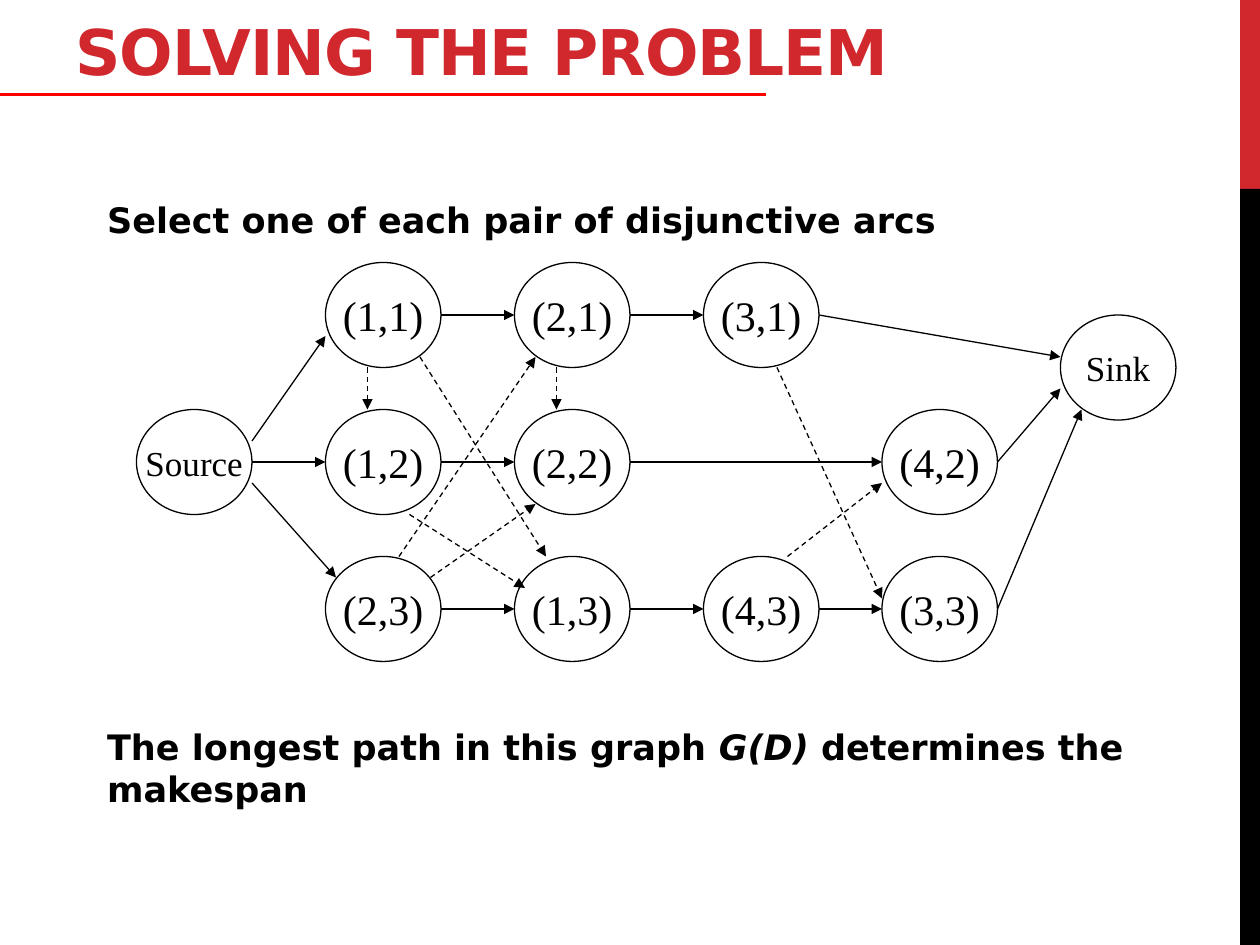
from dataclasses import dataclass

from lxml import etree
from pptx import Presentation
from pptx import util as u
from pptx.dml.color import RGBColor
from pptx.enum import dml, shapes, text
from pptx.oxml import ns


@dataclass
class Theme:
    red: str = "D1282E"
    rule_red: str = "FF0000"
    black: str = "000000"
    heading_font: str = "DejaVu Sans"
    node_font: str = "Times New Roman"
    title_size: int = 36
    body_size: int = 20
    node_size: int = 24
    end_size: int = 20


NODE_WIDTH, NODE_HEIGHT = 66, 60

# Job operations: label -> left, top
COLUMNS = (186, 294, 402, 504)
ROWS = (
    (150, ("(1,1)", "(2,1)", "(3,1)", None)),
    (234, ("(1,2)", "(2,2)", None, "(4,2)")),
    (318, ("(2,3)", "(1,3)", "(4,3)", "(3,3)")),
)
SOURCE = (78, 234)
SINK = (606, 180)

# Arcs that meet the ovals off their side midpoints: x1, y1, x2, y2
END_ARCS = (
    (144, 252, 186, 192), (144, 276, 192, 330), (468, 180, 606, 204),
    (570, 264, 606, 222), (570, 348, 618, 234),
)
DISJUNCTIVE_ARCS = (
    (210, 210, 210, 234), (318, 210, 318, 234), (234, 294, 300, 336),
    (246, 330, 306, 288), (450, 318, 504, 276), (444, 210, 504, 342),
    (240, 204, 312, 318), (228, 318, 306, 204),
)


def apply(target, values):
    for name, value in values.items():
        setattr(target, name, value)


class SlideBuilder:
    def __init__(self, slide, theme):
        self.slide = slide
        self.theme = theme

    def style_run(self, run, font, size, color, bold=False, italic=False):
        apply(run.font, {"name": font, "size": u.Pt(size), "bold": bold, "italic": italic})
        run.font.color.rgb = RGBColor.from_string(color)

    def place(self, shape, left, top, width, height):
        apply(shape, {"left": u.Pt(left), "top": u.Pt(top),
                      "width": u.Pt(width), "height": u.Pt(height)})

    def title(self, words, box):
        shape = self.slide.shapes.title
        self.place(shape, *box)
        apply(shape.text_frame, {"vertical_anchor": text.MSO_ANCHOR.BOTTOM, "word_wrap": True,
                                 "auto_size": text.MSO_AUTO_SIZE.NONE})
        paragraph = shape.text_frame.paragraphs[0]
        paragraph.alignment = text.PP_ALIGN.LEFT
        run = paragraph.add_run()
        run.text = words
        self.style_run(run, self.theme.heading_font, self.theme.title_size, self.theme.red, True)
        run.font._element.set("spc", "-60")

    def body(self, paragraphs, box):
        """Each paragraph is a space before and a list of (words, italic) runs."""
        shape = self.slide.placeholders[1]
        self.place(shape, *box)
        frame = shape.text_frame
        apply(frame, {"auto_size": text.MSO_AUTO_SIZE.NONE, "margin_top": u.Pt(5.4)})
        for index, (space, runs) in enumerate(paragraphs):
            paragraph = frame.add_paragraph() if index else frame.paragraphs[0]
            properties = paragraph._p.get_or_add_pPr()
            properties.set("marL", "0")
            properties.set("indent", "0")
            etree.SubElement(properties, ns.qn("a:buNone"))
            apply(paragraph, {"alignment": text.PP_ALIGN.LEFT, "space_before": u.Pt(space),
                              "space_after": u.Pt(6)})
            for words, italic in runs:
                run = paragraph.add_run()
                run.text = words
                self.style_run(run, self.theme.heading_font, self.theme.body_size,
                               self.theme.black, True, italic)

    def bar(self, left, top, width, height, color):
        shape = self.slide.shapes.add_shape(shapes.MSO_SHAPE.RECTANGLE, 0, 0, 0, 0)
        self.place(shape, left, top, width, height)
        shape.shadow.inherit = False
        shape.fill.solid()
        shape.fill.fore_color.rgb = RGBColor.from_string(color)
        shape.line.fill.background()

    def node(self, label, left, top, size):
        shape = self.slide.shapes.add_shape(shapes.MSO_SHAPE.OVAL, 0, 0, 0, 0)
        self.place(shape, left, top, NODE_WIDTH, NODE_HEIGHT)
        shape.shadow.inherit = False
        shape.fill.background()
        shape.line.width = u.Pt(0.75)
        shape.line.color.rgb = RGBColor.from_string(self.theme.black)
        apply(shape.text_frame, {"word_wrap": False, "vertical_anchor": text.MSO_ANCHOR.MIDDLE})
        paragraph = shape.text_frame.paragraphs[0]
        paragraph.alignment = text.PP_ALIGN.CENTER
        run = paragraph.add_run()
        run.text = label
        self.style_run(run, self.theme.node_font, size, self.theme.black)

    def line(self, points, color, width):
        connector = self.slide.shapes.add_connector(
            shapes.MSO_CONNECTOR.STRAIGHT, *(u.Pt(value) for value in points))
        connector.line.width = u.Pt(width)
        connector.line.color.rgb = RGBColor.from_string(color)
        etree.SubElement(connector._element.spPr, ns.qn("a:effectLst"))
        return connector

    def arrow(self, points, dashed=False):
        connector = self.line(points, self.theme.black, 0.75)
        if dashed:
            connector.line.dash_style = dml.MSO_LINE.DASH
        etree.SubElement(connector.line._get_or_add_ln(), ns.qn("a:tailEnd"), type="triangle")


def main():
    presentation = Presentation()
    presentation.slide_width, presentation.slide_height = u.Pt(720), u.Pt(540)
    theme = Theme()
    slide = presentation.slides.add_slide(presentation.slide_layouts[1])
    builder = SlideBuilder(slide, theme)

    # Side bars and title rule
    builder.bar(708.6, 0, 11.4, 108, theme.red)
    builder.bar(708.6, 108, 11.4, 432, theme.black)
    builder.line((0, 54, 438, 54), theme.rule_red, 2.25)

    # Title and statements above and below the graph
    builder.title("SOLVING THE PROBLEM", (36, 0, 612, 54))
    builder.body([
        (0, [("Select one of each pair of disjunctive arcs", False)]),
        (271, [("The longest path in this graph ", False), ("G(D)", True),
               (" determines the makespan", False)]),
    ], (54, 108, 612, 378))

    # Operations, with conjunctive arcs along each row
    for top, labels in ROWS:
        middle = top + NODE_HEIGHT / 2
        nodes = [(label, left) for label, left in zip(labels, COLUMNS) if label]
        for label, left in nodes:
            builder.node(label, left, top, theme.node_size)
        for (_, start), (_, end) in zip(nodes, nodes[1:]):
            builder.arrow((start + NODE_WIDTH, middle, end, middle))

    # Source and sink with their arcs
    builder.node("Sink", *SINK, theme.end_size)
    builder.node("Source", *SOURCE, theme.end_size)
    source_middle = SOURCE[1] + NODE_HEIGHT / 2
    builder.arrow((SOURCE[0] + NODE_WIDTH, source_middle, COLUMNS[0], source_middle))
    for points in END_ARCS:
        builder.arrow(points)

    # Selected disjunctive arcs
    for points in DISJUNCTIVE_ARCS:
        builder.arrow(points, dashed=True)

    presentation.save("out.pptx")


if __name__ == "__main__":
    main()
